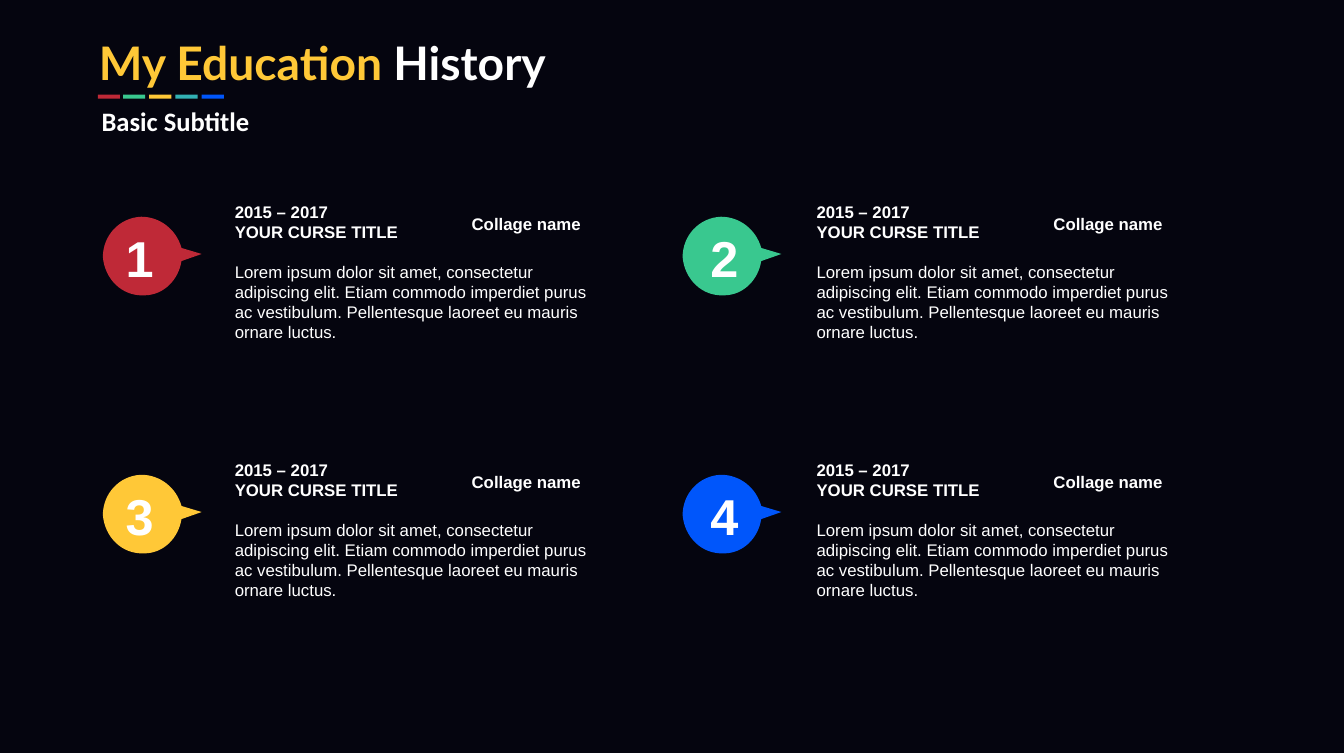
"""Build the education history slide with four numbered entries."""
from lxml import etree
from pptx import Presentation
from pptx.dml.color import RGBColor
from pptx.enum.shapes import MSO_SHAPE
from pptx.enum.text import MSO_ANCHOR, PP_ALIGN
from pptx.oxml.ns import qn
from pptx.util import Pt

PX = 9144


class Theme:
    night = RGBColor(0x05, 0x05, 0x0F)
    white = RGBColor(0xFF, 0xFF, 0xFF)
    red = RGBColor(0xBF, 0x29, 0x37)
    green = RGBColor(0x39, 0xC8, 0x8F)
    yellow = RGBColor(0xFF, 0xC8, 0x37)
    teal = RGBColor(0x32, 0xB1, 0xB4)
    blue = RGBColor(0x00, 0x56, 0xFB)
    title_size, subtitle_size, number_size, entry_size = Pt(33), Pt(19), Pt(36), Pt(12)
    title_font, subtitle_font, entry_font = "Lato", "Calibri", "Arial"


def write(holder, paragraphs, size, font, align=PP_ALIGN.LEFT):
    frame = holder.text_frame
    frame.word_wrap = True
    frame.vertical_anchor = MSO_ANCHOR.TOP
    for i, texts in enumerate(paragraphs):
        paragraph = frame.add_paragraph() if i else frame.paragraphs[0]
        paragraph.alignment = align
        for text in texts:
            run = paragraph.add_run()
            run.text = text
            run.font.size, run.font.name, run.font.bold = size, font, True
            run.font.color.rgb = Theme.white
            run.font._element.set("kern", "0")
    return frame.paragraphs


def paint(shape, color):
    shape.shadow.inherit = False
    shape.fill.solid()
    shape.fill.fore_color.rgb = color
    shape.line.fill.background()


prs = Presentation()
prs.slide_width, prs.slide_height = 1333 * PX, 750 * PX
slide = prs.slides.add_slide(prs.slide_layouts[5])
shapes = slide.shapes

backdrop = shapes.add_shape(MSO_SHAPE.RECTANGLE, 0, -3 * PX, 1333 * PX, 750 * PX)
paint(backdrop, Theme.night)
shapes._spTree.insert(2, backdrop._element)

title = shapes.title
title.left, title.top, title.width, title.height = 88 * PX, 29 * PX, 470 * PX, 66 * PX
heading = write(title, [["My Education ", "History"]], Theme.title_size, Theme.title_font)[0]
heading.runs[0].font.color.rgb = Theme.yellow

for i, color in enumerate([Theme.red, Theme.green, Theme.yellow, Theme.teal, Theme.blue]):
    dash = shapes.add_shape(
        MSO_SHAPE.RECTANGLE, (97 + i * 103 // 4) * PX, 94 * PX, 22 * PX, 4 * PX)
    paint(dash, color)

subtitle = shapes.add_textbox(91 * PX, 99 * PX, 175 * PX, 42 * PX)
write(subtitle, [["Basic Subtitle"]], Theme.subtitle_size, Theme.subtitle_font)

entry_lines = [
    ["2015 – 2017"],
    ["YOUR CURSE TITLE"],
    ["Lorem ipsum dolor sit amet, consectetur adipiscing elit. Etiam commodo imperdiet "
     "purus ac vestibulum. Pellentesque laoreet eu mauris ornare luctus."],
]
balloon_start = (38, 0)
balloon_curves = [
    (16, 1), (0, 19), (0, 40),
    (2, 62), (19, 79), (41, 78),
    (60, 78), (75, 63), (78, 44),
    (98, 37), (98, 37), (98, 37),
    (78, 31), (78, 31), (78, 31),
    (73, 13), (57, 0), balloon_start,
]
for i, color in enumerate([Theme.red, Theme.green, Theme.yellow, Theme.blue]):
    row, column = divmod(i, 2)
    down = row * 256

    left, top = 102 + column * 575, 215 + down
    outline = shapes.build_freeform(left + balloon_start[0], top + balloon_start[1], scale=PX)
    outline.add_line_segments([(left + x, top + y) for x, y in balloon_curves])
    balloon = outline.convert_to_shape()
    paint(balloon, color)
    lines = list(balloon._element.iter(qn("a:lnTo")))
    for first, second, third in zip(lines[::3], lines[1::3], lines[2::3]):
        curve = etree.Element(qn("a:cubicBezTo"))
        first.addprevious(curve)
        for line in (first, second, third):
            curve.append(line[0])
            line.getparent().remove(line)

    number = shapes.add_textbox((89 + column * 580) * PX, (220 + down) * PX, 99 * PX, 71 * PX)
    write(number, [[str(i + 1)]], Theme.number_size, Theme.entry_font, PP_ALIGN.CENTER)

    entry_left = 223 + column * 577
    entry = shapes.add_textbox(entry_left * PX, (195 + down) * PX, 369 * PX, 151 * PX)
    description = write(entry, entry_lines, Theme.entry_size, Theme.entry_font)[-1]
    description.space_before = Pt(14)
    description.runs[0].font.bold = False

    college = shapes.add_textbox((entry_left + 235) * PX, (207 + down) * PX, 134 * PX, 30 * PX)
    write(college, [["Collage name"]], Theme.entry_size, Theme.entry_font)

prs.save("out.pptx")
